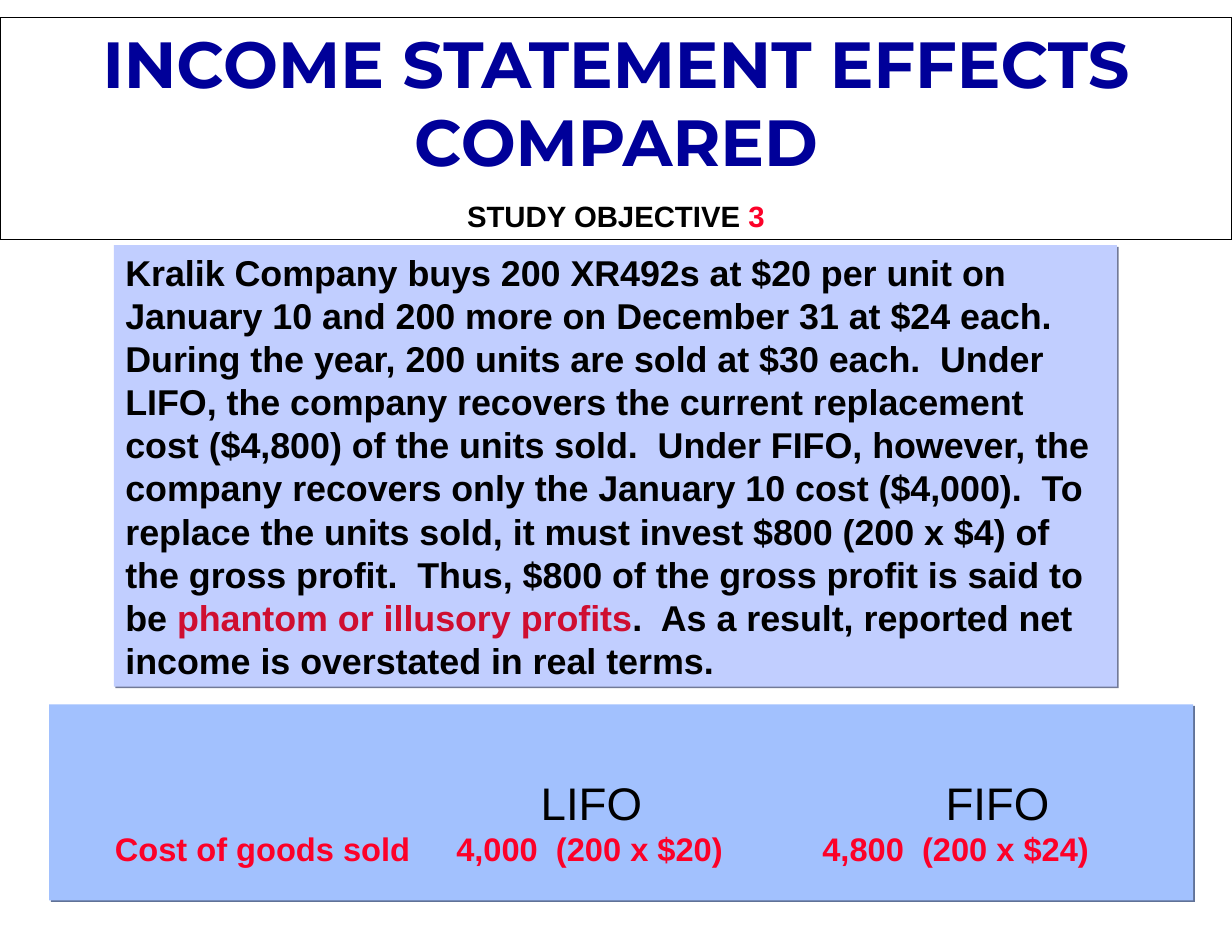
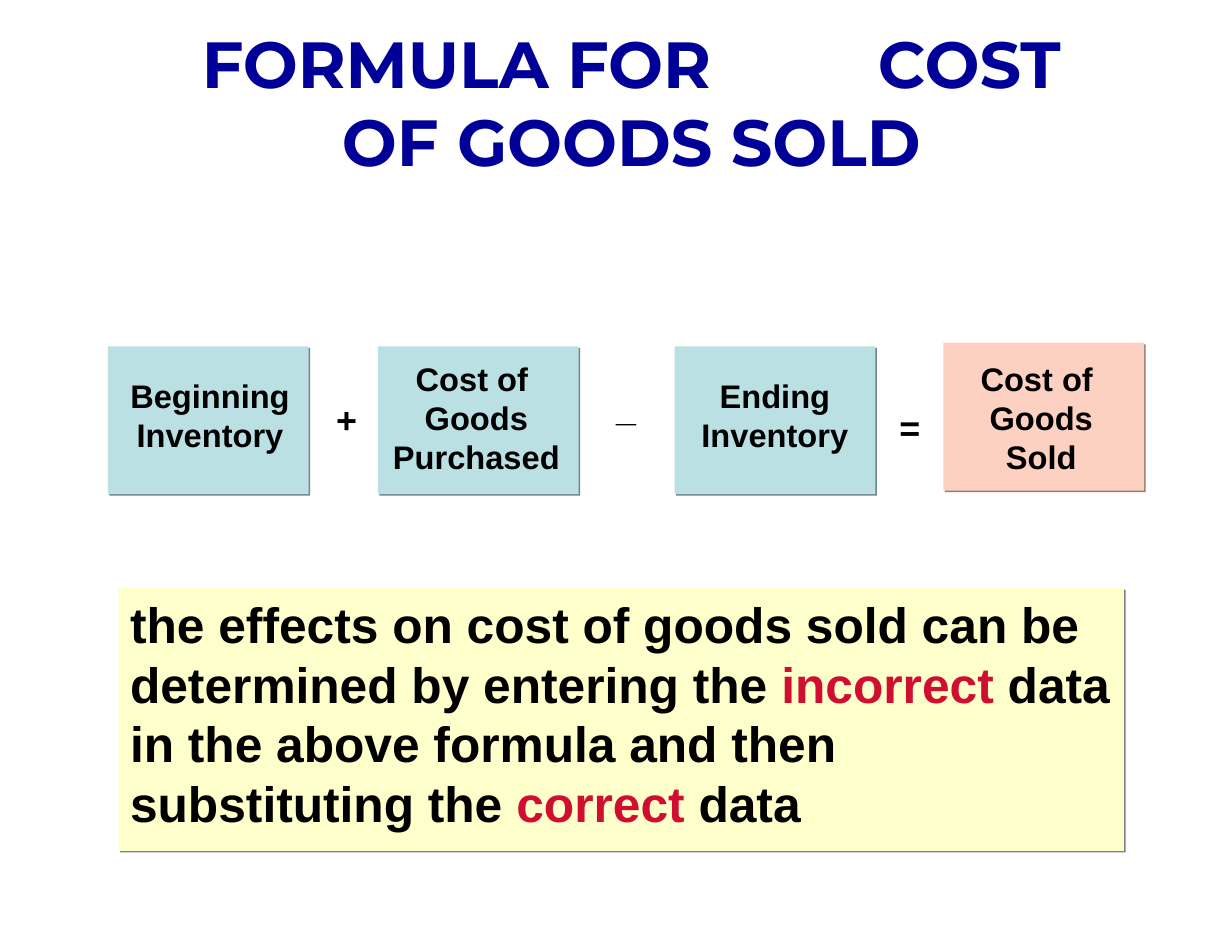
from lxml import etree
from pptx import Presentation
from pptx import util as u
from pptx.dml.color import RGBColor
from pptx.enum import shapes, text
from pptx.oxml.ns import qn

# Shared colours and text styles
BLACK = RGBColor(0x00, 0x00, 0x00)
NAVY = RGBColor(0x00, 0x00, 0x99)
RED = RGBColor(0xFC, 0x01, 0x28)
CRIMSON = RGBColor(0xCF, 0x0E, 0x30)
BLUE = RGBColor(0xA2, 0xC1, 0xFE)
LAVENDER = RGBColor(0xC1, 0xCE, 0xFF)
TEAL = RGBColor(0xBB, 0xE0, 0xE3)
PEACH = RGBColor(0xFC, 0xD1, 0xC1)
CREAM = RGBColor(0xFF, 0xFF, 0xCC)
GREY = RGBColor(0x80, 0x80, 0x80)
CENTER = text.PP_ALIGN.CENTER
TITLE = dict(size=40, font="Montserrat", color=NAVY, align=CENTER, before=25)

prs = Presentation()
prs.slide_width, prs.slide_height = u.Inches(10.5), u.Inches(8)
COL, ROW = prs.slide_width / 100, prs.slide_height / 100  # 100 x 100 grid


def add_box(slide, left, top, width, height, fill=None, line=None, shadow=None,
            wrap=True, anchor=text.MSO_ANCHOR.TOP):
    """Place a box on the grid; a filled one casts a small hard shadow."""
    at = int(left * COL), int(top * ROW), int(width * COL), int(height * ROW)
    if fill is None and line is None:
        sp = slide.shapes.add_textbox(*at)
    else:
        sp = slide.shapes.add_shape(shapes.MSO_SHAPE.RECTANGLE, *at)
        sp.shadow.inherit = False
        if fill is None:
            sp.fill.background()
        else:
            sp.fill.solid()
            sp.fill.fore_color.rgb = fill
            shade = shadow or RGBColor(*(int(v * 0.595) for v in fill))
            effects = sp._element.spPr.find(qn("a:effectLst"))
            outer = etree.SubElement(effects, qn("a:outerShdw"), dist=str(u.Pt(1.4)),
                                     dir="2700000", algn="ctr", rotWithShape="0")
            etree.SubElement(outer, qn("a:srgbClr"), val=str(shade))
        if line is None:
            sp.line.fill.background()
        else:
            sp.line.color.rgb = line
            sp.line.width = u.Pt(1)
    tf = sp.text_frame
    tf.word_wrap = wrap
    tf.vertical_anchor = anchor
    return tf


def add_text(tf, *runs, size=20, font="Arial", color=BLACK, bold=True,
             align=text.PP_ALIGN.LEFT, before=0, spacing=None, tabs=()):
    """Add a paragraph; a run is text or (text, colour, letter spacing)."""
    p = tf.paragraphs[0]
    if p.runs:
        p = tf.add_paragraph()
    p.alignment = align
    p.space_before = u.Pt(before)
    p.line_spacing = spacing
    if tabs:
        stops = etree.SubElement(p._p.get_or_add_pPr(), qn("a:tabLst"))
        for pos in tabs:
            etree.SubElement(stops, qn("a:tab"), pos=str(u.Inches(pos)), algn="l")
    for run in runs:
        words, tint, tracking = (run, color, 0) if isinstance(run, str) else run
        r = p.add_run()
        r.text = words
        r.font.size, r.font.name, r.font.bold = u.Pt(size), font, bold
        r.font.color.rgb = tint
        if tracking:
            r._r.get_or_add_rPr().set("spc", str(tracking * 100))


# Slide 1: income statement effects
s = prs.slides.add_slide(prs.slide_layouts[6])
tf = add_box(s, 0, 1.88, 100, 23.62, line=BLACK)
add_text(tf, "INCOME STATEMENT EFFECTS COMPARED", **TITLE)
add_text(tf, "STUDY OBJECTIVE", (" 3", RED, 0), size=18, align=CENTER, before=11.2)

# Comparison panel: column heads and cost row
tf = add_box(s, 4, 75, 92.86, 20.88, fill=BLUE, anchor=text.MSO_ANCHOR.MIDDLE)
add_text(tf, "\tLIFO\tFIFO", size=28, bold=False, tabs=(4.09, 7.54))
tf = add_box(s, 4, 88.5, 96, 7.13)
add_text(tf, "\tCost of goods sold\t4,000  (200 x $20)\t4,800  (200 x $24)",
         color=RED, before=5, spacing=0.8, tabs=(0.46, 3.37, 6.49))

# Example
tf = add_box(s, 9.24, 26.12, 81.43, 47, fill=LAVENDER)
add_text(tf,
         "Kralik Company buys 200 XR492s at $20 per unit on January 10 and 200 more "
         "on December 31 at $24 each.  During the year, 200 units are sold at $30 each.  "
         "Under LIFO, the company recovers the current replacement cost ($4,800) of the "
         "units sold.  Under FIFO, however, the company recovers only the January 10 cost "
         "($4,000).  To replace the units sold, it must invest $800 (200 x $4) of the gross "
         "profit.  Thus, $800 of the gross profit is said to be ",
         ("phantom or illusory profits", CRIMSON, 0),
         ".  As a result, reported net income is overstated in real terms.",
         size=22, before=5.5)

# Slide 2: formula for cost of goods sold
s = prs.slides.add_slide(prs.slide_layouts[6])
tf = add_box(s, 13.52, 1.88, 75.43, 17.88)
add_text(tf, "FORMULA FOR", (" ", NAVY, 91), "COST OF GOODS SOLD", **TITLE)

# Terms: box left, box top, fill, label centre, label top, lines
TERM_WIDTH = 16.3
terms = [
    (8.76, 36.88, TEAL, 17.05, 39.38, ("Beginning", "Inventory")),
    (30.67, 36.88, TEAL, 38.67, 37.62, ("Cost of ", "Goods", "Purchased")),
    (54.76, 36.88, TEAL, 62.9, 39.38, ("Ending", "Inventory")),
    (76.57, 36.5, PEACH, 84.52, 37.62, ("Cost of ", "Goods", "Sold")),
]
for left, top, fill, center, label_top, lines in terms:
    add_box(s, left, top, TERM_WIDTH, 15.75, fill=fill)
    tf = add_box(s, center - TERM_WIDTH / 2, label_top, TERM_WIDTH,
                 1 + 4.25 * len(lines), wrap=False)
    for words in lines:
        add_text(tf, words, align=CENTER)

# Operators between the terms
for sign, left, top in (("+", 25.43, 41.75), ("_", 48.1, 40.5), ("=", 71.14, 42.62)):
    add_text(add_box(s, left, top, 5.43, 5.75), sign, size=22, align=CENTER)

# Advice
tf = add_box(s, 9.62, 62.62, 81.62, 28, fill=CREAM, shadow=GREY)
add_text(tf, "the effects on cost of goods sold can be determined by entering the ",
         ("incorrect", CRIMSON, 0),
         " data in the above formula and then substituting the ",
         ("correct", CRIMSON, 0), " data", size=30.5, before=8.2)

prs.save("out.pptx")
